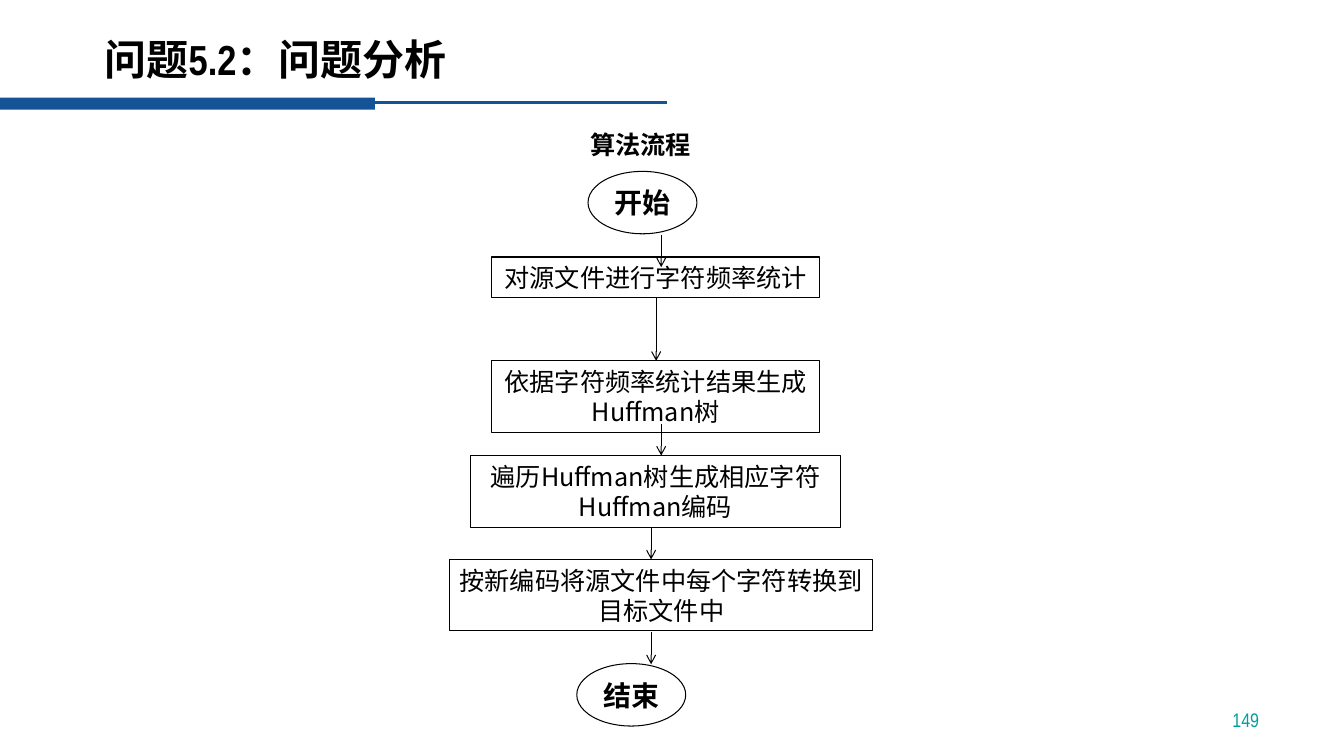
from lxml.etree import SubElement
from pptx import Presentation
from pptx.dml.color import RGBColor
from pptx.enum.shapes import MSO_CONNECTOR as Connector, MSO_SHAPE as Shape
from pptx.enum.text import MSO_ANCHOR as Anchor, PP_ALIGN as Align
from pptx.oxml.ns import qn
from pptx.util import Pt

CJK = "Noto Sans CJK SC"
BLACK, BLUE, TEAL = "000000", "145396", "009EA1"
TITLE = {"size": Pt(30), "name": "Arial Narrow", "bold": True}
NUMBER = {"size": Pt(14), "name": "Arial Narrow"}
HEADING = {"size": Pt(18), "name": CJK, "bold": True}
STEP = {"size": Pt(18), "name": CJK}
TERMINAL = {"size": Pt(20), "name": "Arial", "bold": True}

STEPS = [
    ("对源文件进行字符频率统计", 351.4, 183.6, 234, 28.8),
    ("依据字符频率统计结果生成Huffman树", 351.4, 257.8, 234, 51.1),
    ("遍历Huffman树生成相应字符Huffman编码", 336.2, 325.4, 264.2, 51.1),
    ("按新编码将源文件中每个字符转换到目标文件中", 321.1, 399.6, 302.4, 51.1),
]
TERMINALS = [("开始", 420, 122.4), ("结束", 412, 474)]
ARROWS = [
    (472.3, 167.8, 190.8),
    (468.7, 213.1, 257.8),
    (472.3, 303.1, 325.4),
    (465.1, 376.6, 399.6),
    (465.1, 451.4, 474.5),
]


def color(value):
    """Turn a hex string into a colour."""
    return RGBColor.from_string(value)


def write(shape, text, font, ink=BLACK, align=Align.CENTER, anchor=Anchor.MIDDLE, wrap=True):
    """Put one formatted paragraph into a shape and return it."""
    frame = shape.text_frame
    frame.word_wrap = wrap
    frame.vertical_anchor = anchor
    paragraph = frame.paragraphs[0]
    paragraph.alignment = align
    run = paragraph.add_run()
    run.text = text
    for name, value in font.items():
        setattr(run.font, name, value)
    run.font.color.rgb = color(ink)
    SubElement(run.font._element, qn("a:ea"), typeface=CJK)
    return paragraph


def add_text(slide, text, box, font, **options):
    """Add a text box and return its paragraph."""
    shape = slide.shapes.add_textbox(*map(Pt, box))
    return write(shape, text, font, **options)


def add_outline(slide, kind, text, box, font, wrap=True):
    """Add an unfilled, black-edged shape with text."""
    shape = slide.shapes.add_shape(kind, *map(Pt, box))
    shape.shadow.inherit = False
    shape.fill.background()
    shape.line.color.rgb = color(BLACK)
    shape.line.width = Pt(0.75)
    write(shape, text, font, wrap=wrap)


def add_line(slide, start, end, ink=BLACK, width=0.75, arrow=False):
    """Add a straight line, with an arrowhead at its end if asked."""
    line = slide.shapes.add_connector(Connector.STRAIGHT, *map(Pt, start + end))
    line.line.color.rgb = color(ink)
    line.line.width = Pt(width)
    if arrow:
        SubElement(line.line._get_or_add_ln(), qn("a:tailEnd"), type="arrow")
    SubElement(line._element.spPr, qn("a:effectLst"))


def add_header(slide):
    """Add the title with its two-part blue rule."""
    bar = slide.shapes.add_shape(Shape.RECTANGLE, 0, Pt(69.8), Pt(267.8), Pt(8.6))
    bar.shadow.inherit = False
    bar.fill.solid()
    bar.fill.fore_color.rgb = color(BLUE)
    bar.line.fill.background()
    add_line(slide, (265, 73.4), (476.6, 73.4), BLUE, 2.25)
    title = add_text(slide, "问题5.2：问题分析", (67.7, 12.2, 859.7, 66.2), TITLE, align=Align.LEFT)
    title.line_spacing = 0.8


def main():
    """Build and save the slide."""
    presentation = Presentation()
    presentation.slide_width, presentation.slide_height = Pt(960), Pt(540)
    slide = presentation.slides.add_slide(presentation.slide_layouts[6])
    add_header(slide)
    add_text(slide, "149", (706.3, 490.3, 200.2, 36), NUMBER,
             ink=TEAL, align=Align.RIGHT, anchor=Anchor.BOTTOM)
    add_text(slide, "算法流程", (298.8, 88.6, 317.5, 28.8), HEADING)
    for text, *box in STEPS:
        add_outline(slide, Shape.RECTANGLE, text, box, STEP)
    for text, left, top in TERMINALS:
        add_outline(slide, Shape.OVAL, text, (left, top, 77.8, 44.6), TERMINAL, wrap=False)
    for x, top, bottom in ARROWS:
        add_line(slide, (x, top), (x, bottom), arrow=True)
    presentation.save("out.pptx")


if __name__ == "__main__":
    main()
